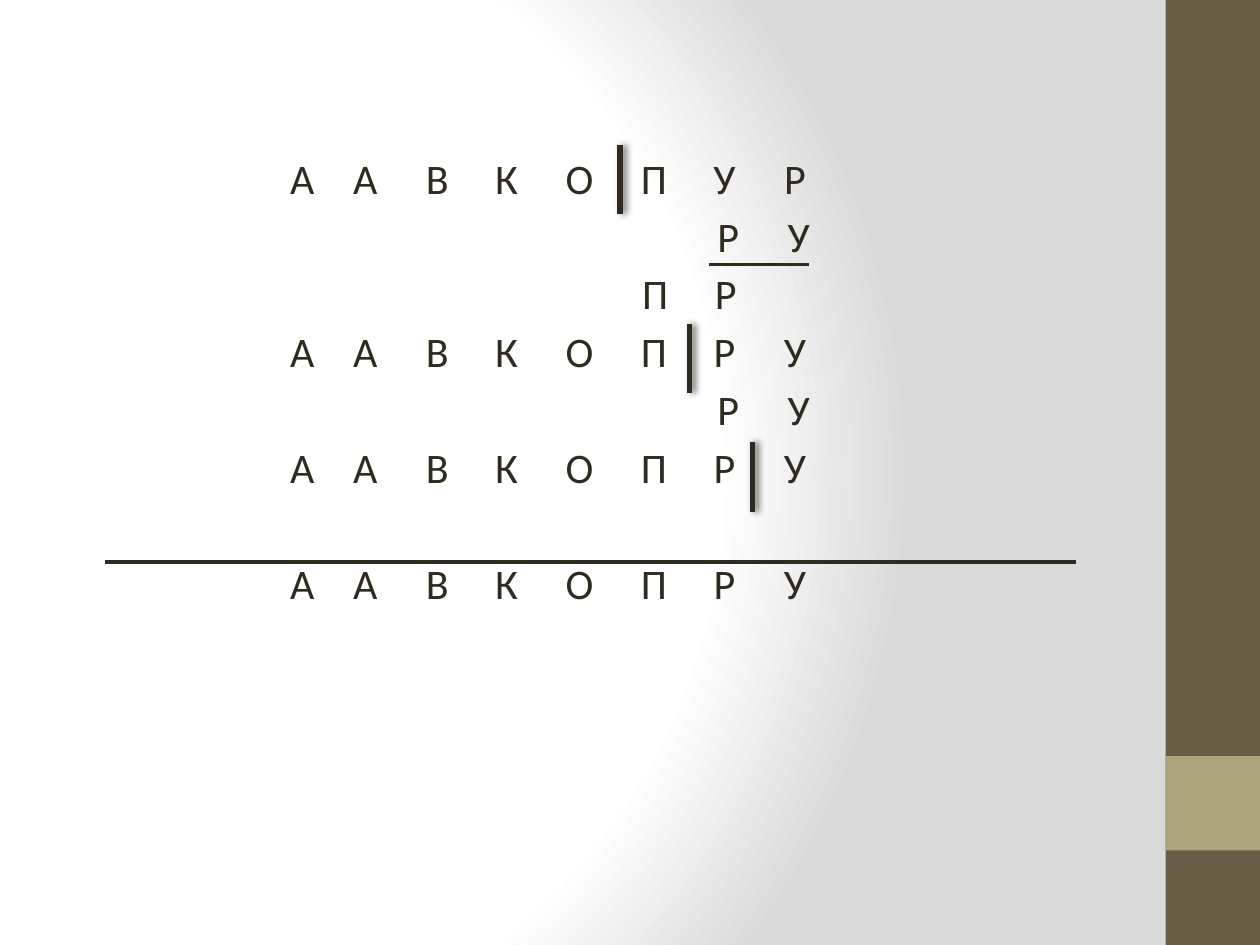
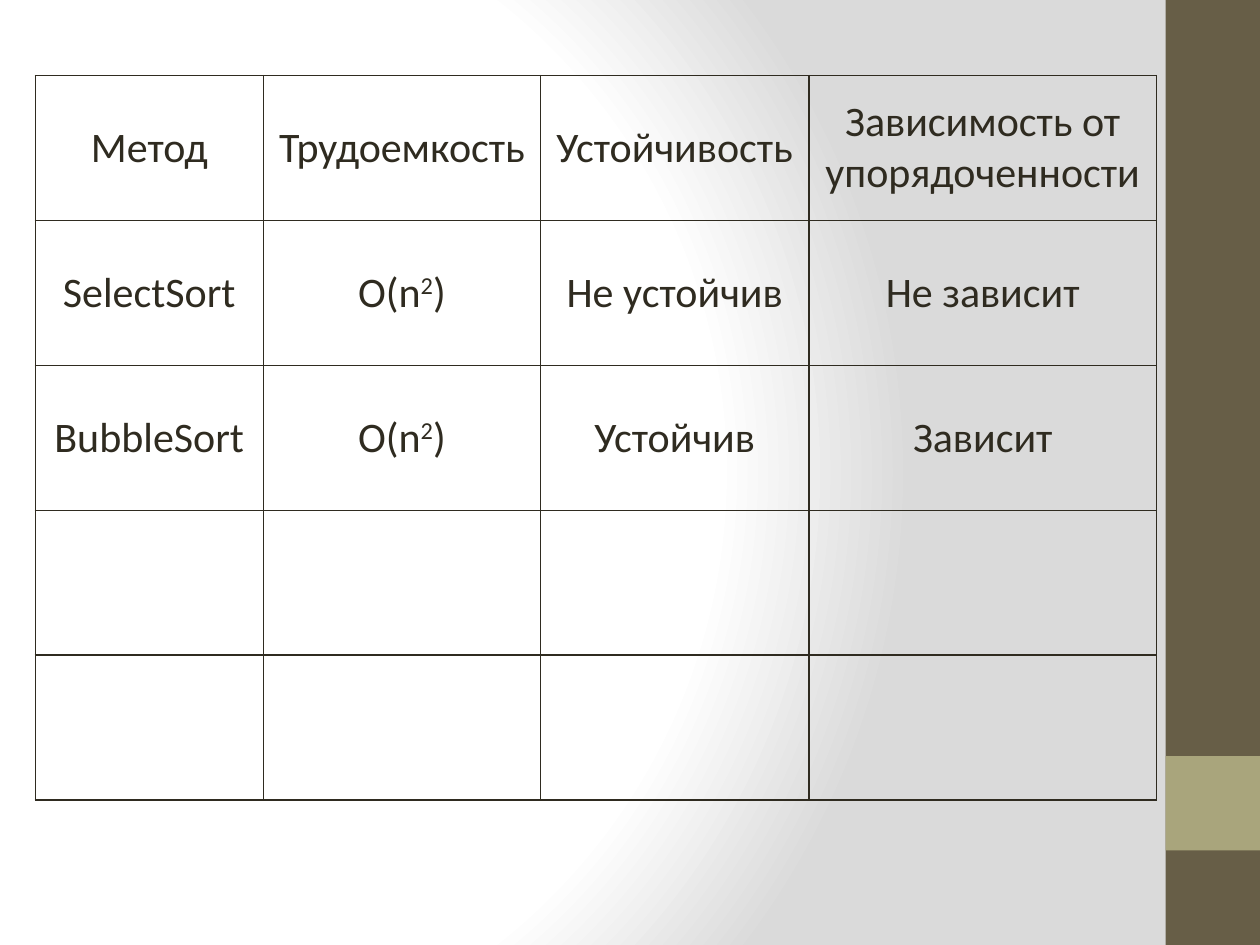
from pptx import Presentation
from pptx.dml.color import RGBColor
from pptx.enum.shapes import MSO_CONNECTOR as Link, MSO_SHAPE as Form
from pptx.enum.text import MSO_ANCHOR as Anchor, PP_ALIGN as Align
from pptx.oxml import parse_xml
from pptx.oxml.ns import nsdecls, qn
from pptx.util import Inches, Pt

INK, BROWN, OLIVE = "2F2B20", "675E47", "A9A57C"
FONT = {"name": "Calibri", "size": Pt(24)}
NS = nsdecls("a")


def paint(color, tone):
    color.rgb = RGBColor.from_string(tone)


def style(font):
    for key, value in FONT.items():
        setattr(font, key, value)
    paint(font.color, INK)


deck = Presentation()
deck.slide_width, deck.slide_height = Inches(10), Inches(7.5)

master = deck.slide_master
master.background.fill.gradient()
grad = master.element.find(".//" + qn("a:gradFill"))
stops = "".join(
    f'<a:gs pos="{pos}000"><a:srgbClr val="{tone}"/></a:gs>'
    for pos, tone in [(0, "FFFFFF"), (75, "FFFFFF"), (100, "DADADA")]
)
grad.getparent().replace(grad, parse_xml(
    f'<a:gradFill {NS} rotWithShape="1"><a:gsLst>{stops}</a:gsLst>'
    '<a:path path="circle"><a:fillToRect l="20000" t="50000" r="100000" b="50000"/>'
    '</a:path></a:gradFill>'
))

slides = [deck.slides.add_slide(deck.slide_layouts[6]) for _ in range(2)]
for slide in slides:
    for top, height, tone in [(0, 7.5, BROWN), (6, 0.75, OLIVE)]:
        band = slide.shapes.add_shape(
            Form.RECTANGLE, Inches(9.25), Inches(top), Inches(0.75), Inches(height))
        band.shadow.inherit = False
        band.fill.solid()
        paint(band.fill.fore_color, tone)
        band.line.fill.background()

sort, grid = slides

centers = [0.4, 0.9, 1.47, 2.02, 2.6, 3.19, 3.75, 4.31]
GAP, PITCH = 4.2, 33.5
steps = [
    ("ААВКОПУР", 0, 0, 0),
    ("РУ", 6, 0.03, GAP),
    ("ПР", 5, 0.01, GAP),
    ("ААВКОПРУ", 0, 0, GAP),
    ("РУ", 6, 0.03, GAP),
    ("ААВКОПРУ", 0, 0, GAP),
    ("ААВКОПРУ", 0, 0, GAP + PITCH),
]
box = sort.shapes.add_textbox(Inches(2), Inches(1.21), Inches(7), Inches(5.8))
frame = box.text_frame
frame.word_wrap = True
for side in ("left", "top", "right", "bottom"):
    setattr(frame, "margin_" + side, 0)
for i, (word, first, shift, space) in enumerate(steps):
    para = frame.add_paragraph() if i else frame.paragraphs[0]
    para.space_before = Pt(space)
    tabs = "".join(
        f'<a:tab pos="{Inches(x + shift)}" algn="ctr"/>' for x in centers[first:])
    para._p.get_or_add_pPr().append(parse_xml(f"<a:tabLst {NS}>{tabs}</a:tabLst>"))
    run = para.add_run()
    run.text = "".join("\t" + letter for letter in word)
    style(run.font)

SHADE = (
    f'<a:outerShdw blurRad="{Pt(4)}" dist="{Pt(2)}" dir="0">'
    '<a:srgbClr val="000000"><a:alpha val="60000"/></a:srgbClr></a:outerShdw>'
)
rules = [(5.63, 2.1, 6.42, 2.1), (0.83, 4.46, 8.54, 4.46)]
bars = [(x, y, x, y + 0.55) for x, y in [(4.92, 1.15), (5.47, 2.57), (5.97, 3.51)]]
for ends, width, shade in [(e, 2, "") for e in rules] + [(e, 3, SHADE) for e in bars]:
    line = sort.shapes.add_connector(Link.STRAIGHT, *map(Inches, ends))
    paint(line.line.color, INK)
    line.line.width = Pt(width)
    line._element.spPr.append(parse_xml(f"<a:effectLst {NS}>{shade}</a:effectLst>"))

rows = [
    ["Метод", "Трудоемкость", "Устойчивость", "Зависимость от упорядоченности"],
    ["SelectSort", "O(n^2^)", "Не устойчив", "Не зависит"],
    ["BubbleSort", "O(n^2^)", "Устойчив", "Зависит"],
    [""] * 4,
    [""] * 4,
]
table = grid.shapes.add_table(
    5, 4, Inches(0.28), Inches(0.6), Inches(8.9), Inches(5.75)).table
table.first_row = table.horz_banding = False
for col, width in zip(table.columns, [1.81, 2.2, 2.13, 2.76]):
    col.width = Inches(width)
for r, row in enumerate(rows):
    table.rows[r].height = Inches(1.15)
    for c, text in enumerate(row):
        cell = table.cell(r, c)
        for side in "LRTB":
            cell._tc.get_or_add_tcPr().append(parse_xml(
                f'<a:ln{side} {NS} w="{Pt(1)}"><a:solidFill><a:srgbClr val="{INK}"/>'
                f'</a:solidFill></a:ln{side}>'))
        cell.fill.background()
        cell.vertical_anchor = Anchor.MIDDLE
        para = cell.text_frame.paragraphs[0]
        para.alignment = Align.CENTER
        for k, part in enumerate(text.split("^") if text else []):
            run = para.add_run()
            run.text = part
            style(run.font)
            if k == 1:
                run._r.get_or_add_rPr().set("baseline", "30000")

deck.save("out.pptx")
